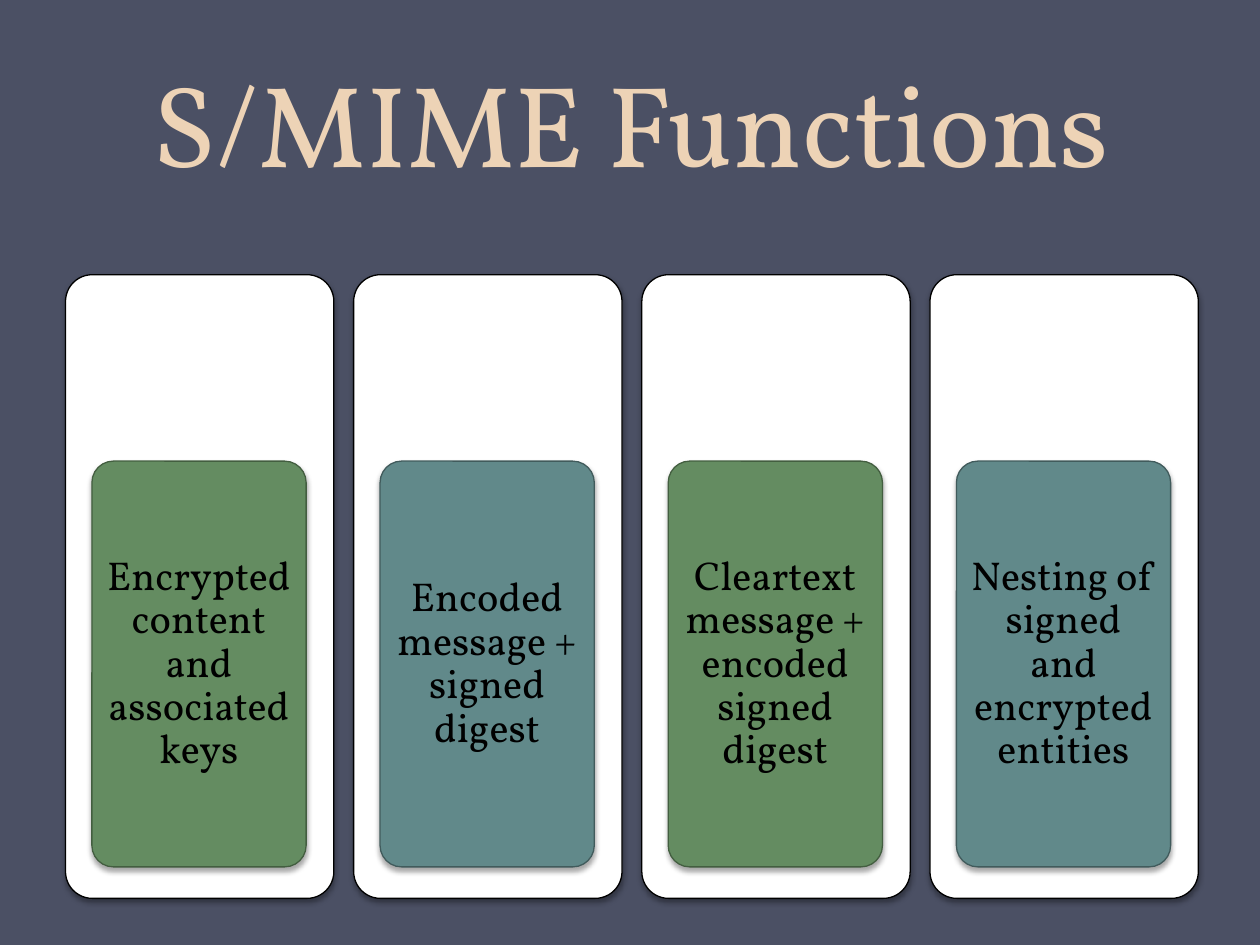
from lxml import etree
from pptx import Presentation
from pptx.dml.color import RGBColor
from pptx.enum.shapes import MSO_SHAPE
from pptx.enum.text import MSO_ANCHOR, PP_ALIGN
from pptx.oxml.ns import qn
from pptx.util import Inches, Pt

ROUNDED = MSO_SHAPE.ROUNDED_RECTANGLE
CENTER = PP_ALIGN.CENTER
MIDDLE = MSO_ANCHOR.MIDDLE
BOTTOM = MSO_ANCHOR.BOTTOM

FONT = "Vollkorn"
COLORS = {
    "background": "4B5064",
    "title": "EDD3B6",
    "white": "FFFFFF",
    "black": "000000",
    "green": "648C61",
    "green_line": "435E40",
    "teal": "61898A",
    "teal_line": "415B5C",
}


def add_card(left, top, width, height, fill, line):
    """Add a rounded card with a soft shadow below it."""
    card = slide.shapes.add_shape(
        ROUNDED, Inches(left), Inches(top), Inches(width), Inches(height))
    card.adjustments[0] = 0.1
    card.fill.solid()
    card.fill.fore_color.rgb = RGBColor.from_string(COLORS[fill])
    card.line.color.rgb = RGBColor.from_string(COLORS[line])
    card.line.width = Pt(0.75)
    card.shadow.inherit = False
    effects = card._element.spPr.find(qn("a:effectLst"))
    shadow = etree.SubElement(
        effects, qn("a:outerShdw"), blurRad=str(Pt(3.1)), dist=str(Pt(1.8)),
        dir="5400000", rotWithShape="0")
    color = etree.SubElement(shadow, qn("a:srgbClr"), val=COLORS["black"])
    etree.SubElement(color, qn("a:alpha"), val="35000")
    return card


def write_text(box, text, size, color, anchor, spacing):
    """Write one centred paragraph into a box."""
    frame = box.text_frame
    frame.word_wrap = True
    frame.vertical_anchor = anchor
    para = frame.paragraphs[0]
    para.alignment = CENTER
    para.line_spacing = spacing
    span = para.add_run()
    span.text = text
    span.font.name = FONT
    span.font.size = Pt(size)
    span.font.color.rgb = RGBColor.from_string(COLORS[color])


deck = Presentation()
deck.slide_width = Inches(10)
deck.slide_height = Inches(7.5)
slide = deck.slides.add_slide(deck.slide_layouts[6])
slide.background.fill.solid()
slide.background.fill.fore_color.rgb = RGBColor.from_string(COLORS["background"])

# Title
title = slide.shapes.add_textbox(Inches(0.51), Inches(-0.19), Inches(9), Inches(1.75))
write_text(title, "S/MIME Functions", 66, "title", BOTTOM, Pt(58))

# Four white columns, each with a coloured card
functions = [
    ("Encrypted content and associated keys", "green"),
    ("Encoded message + signed digest", "teal"),
    ("Cleartext message + encoded signed digest", "green"),
    ("Nesting of signed and encrypted entities", "teal"),
]
for index, (text, color) in enumerate(functions):
    left = 0.52 + index * 2.287
    add_card(left, 2.18, 2.13, 4.95, "white", "black")
    card = add_card(left + 0.21, 3.66, 1.7, 3.22, color, color + "_line")
    frame = card.text_frame
    frame.margin_left = frame.margin_right = Inches(0.06)
    frame.margin_top = frame.margin_bottom = Inches(0.05)
    write_text(card, text, 23, "black", MIDDLE, 0.9)

deck.save("out.pptx")
